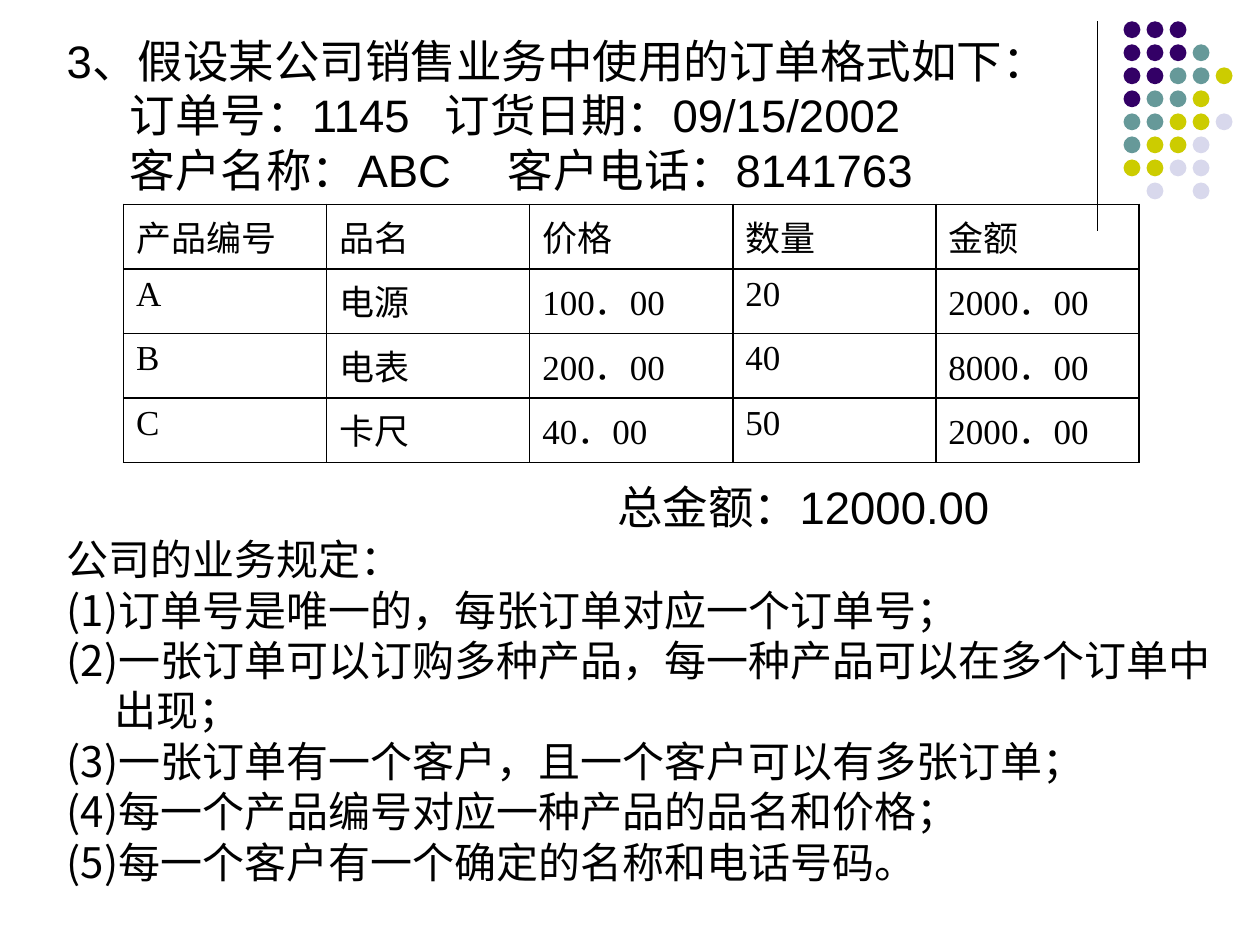
from dataclasses import dataclass

import lxml.etree
import pptx
import pptx.dml.color
import pptx.enum.shapes
import pptx.enum.text
import pptx.oxml.ns
import pptx.util

BLACK = pptx.dml.color.RGBColor(0x00, 0x00, 0x00)
PURPLE = pptx.dml.color.RGBColor(0x33, 0x00, 0x66)
TEAL = pptx.dml.color.RGBColor(0x66, 0x99, 0x99)
OLIVE = pptx.dml.color.RGBColor(0xCC, 0xCC, 0x00)
LAVENDER = pptx.dml.color.RGBColor(0xD8, 0xD8, 0xEC)

CJK_FONT = "Noto Sans CJK SC"
HANGING = 0.97
LINE_FACTOR = 1.2
DOT_COLORS = {"P": PURPLE, "T": TEAL, "O": OLIVE, "L": LAVENDER}
DOT_ROWS = ("PPP", "PPPT", "PPTTO", "PTTO", "TTOOL", "TOOL", "OOLL", " L L")
DOT_PITCH = 3.25 / 7
DOT_SIZE = 0.34


@dataclass(frozen=True)
class Line:
    text: str
    size: int = 24
    font: str = CJK_FONT
    margin: float = HANGING
    indent: float = -HANGING
    before: float = 0
    tabs: tuple[float, ...] = ()


LINES = (
    Line("3、假设某公司销售业务中使用的订单格式如下：", 26, "Arial"),
    Line("\t订单号：1145\t订货日期：09/15/2002", 26, "Arial", 0, 0, tabs=(1.05, 8.67)),
    Line("\t客户名称：ABC\t客户电话：8141763", 26, "Arial", 0, 0, tabs=(1.05, 9.25)),
    Line("总金额：12000.00", 26, "Arial", 11.1, 0, before=161.5),
    Line("公司的业务规定："),
    Line("(1)订单号是唯一的，每张订单对应一个订单号；"),
    Line("(2)一张订单可以订购多种产品，每一种产品可以在多个订单中出现；"),
    Line("(3)一张订单有一个客户，且一个客户可以有多张订单；"),
    Line("(4)每一个产品编号对应一种产品的品名和价格；"),
    Line("(5)每一个客户有一个确定的名称和电话号码。"),
)

ORDER_ROWS = (
    ("产品编号", "品名", "价格", "数量", "金额"),
    ("A", "电源", "100．00", "20", "2000．00"),
    ("B", "电表", "200．00", "40", "8000．00"),
    ("C", "卡尺", "40．00", "50", "2000．00"),
)


def apply_format(target: object, values: dict[str, object]) -> None:
    for name, value in values.items():
        setattr(target, name, value)


def add_element(parent, tag: str, **attributes: str):
    return lxml.etree.SubElement(parent, pptx.oxml.ns.qn(tag), attributes)


def add_run(paragraph, text: str, size: int, font: str) -> None:
    run = paragraph.add_run()
    run.text = text
    apply_format(run.font, {"size": pptx.util.Pt(size), "name": font})
    run.font.color.rgb = BLACK
    add_element(run.font._element, "a:ea", typeface=CJK_FONT)


def add_divider(slide) -> None:
    x = pptx.util.Cm(22.12)
    divider = slide.shapes.add_connector(
        pptx.enum.shapes.MSO_CONNECTOR.STRAIGHT,
        x, pptx.util.Cm(0.43), x, pptx.util.Cm(4.65),
    )
    divider.line.color.rgb = BLACK
    divider.line.width = pptx.util.Pt(0.75)
    add_element(divider._element.spPr, "a:effectLst")


def add_dots(slide) -> None:
    group = slide.shapes.add_group_shape()
    size = pptx.util.Cm(DOT_SIZE)
    for row, codes in enumerate(DOT_ROWS):
        for column, code in enumerate(codes):
            if code not in DOT_COLORS:
                continue
            dot = group.shapes.add_shape(
                pptx.enum.shapes.MSO_SHAPE.OVAL,
                pptx.util.Cm(22.65 + column * DOT_PITCH),
                pptx.util.Cm(0.43 + row * DOT_PITCH),
                size, size,
            )
            dot.shadow.inherit = False
            dot.fill.solid()
            dot.fill.fore_color.rgb = DOT_COLORS[code]
            dot.line.fill.background()


def fill_paragraph(paragraph, line: Line) -> None:
    apply_format(paragraph, {
        "line_spacing": pptx.util.Pt(line.size * LINE_FACTOR),
        "space_before": pptx.util.Pt(line.before),
        "space_after": pptx.util.Pt(0),
    })
    properties = paragraph._p.get_or_add_pPr()
    properties.set("marL", str(pptx.util.Cm(line.margin)))
    properties.set("indent", str(pptx.util.Cm(line.indent)))
    add_element(properties, "a:buNone")
    if line.tabs:
        tab_list = add_element(properties, "a:tabLst")
        for position in line.tabs:
            add_element(tab_list, "a:tab", pos=str(pptx.util.Cm(position)), algn="l")
    add_run(paragraph, line.text, line.size, line.font)


def fill_body(body) -> None:
    apply_format(body, {
        "left": pptx.util.Cm(1.09),
        "top": pptx.util.Cm(0.53),
        "width": pptx.util.Cm(24.31),
        "height": pptx.util.Cm(17.81),
    })
    frame = body.text_frame
    apply_format(frame, {
        "word_wrap": True,
        "auto_size": pptx.enum.text.MSO_AUTO_SIZE.NONE,
        "vertical_anchor": pptx.enum.text.MSO_ANCHOR.TOP,
    })
    for index, line in enumerate(LINES):
        fill_paragraph(frame.add_paragraph() if index else frame.paragraphs[0], line)


def add_borders(cell) -> None:
    properties = cell._tc.get_or_add_tcPr()
    for side in ("L", "R", "T", "B"):
        border = add_element(properties, f"a:ln{side}", w=str(pptx.util.Pt(1)))
        fill = add_element(border, "a:solidFill")
        add_element(fill, "a:srgbClr", val=str(BLACK))


def add_order_table(slide) -> None:
    table = slide.shapes.add_table(
        len(ORDER_ROWS), len(ORDER_ROWS[0]),
        pptx.util.Cm(2.49), pptx.util.Cm(4.12),
        pptx.util.Cm(20.47), pptx.util.Cm(5.2),
    ).table
    apply_format(table, {"first_row": False, "horz_banding": False})
    for row, texts in enumerate(ORDER_ROWS):
        for column, text in enumerate(texts):
            cell = table.cell(row, column)
            add_borders(cell)
            cell.fill.background()
            add_run(cell.text_frame.paragraphs[0], text, 20, "Times New Roman")


def main() -> None:
    presentation = pptx.Presentation()
    presentation.slide_width = pptx.util.Cm(25.4)
    presentation.slide_height = pptx.util.Cm(19.05)
    slide = presentation.slides.add_slide(presentation.slide_layouts[1])
    title = slide.shapes.title
    title._element.getparent().remove(title._element)
    add_divider(slide)
    add_dots(slide)
    fill_body(slide.placeholders[1])
    add_order_table(slide)
    presentation.save("out.pptx")


if __name__ == "__main__":
    main()
